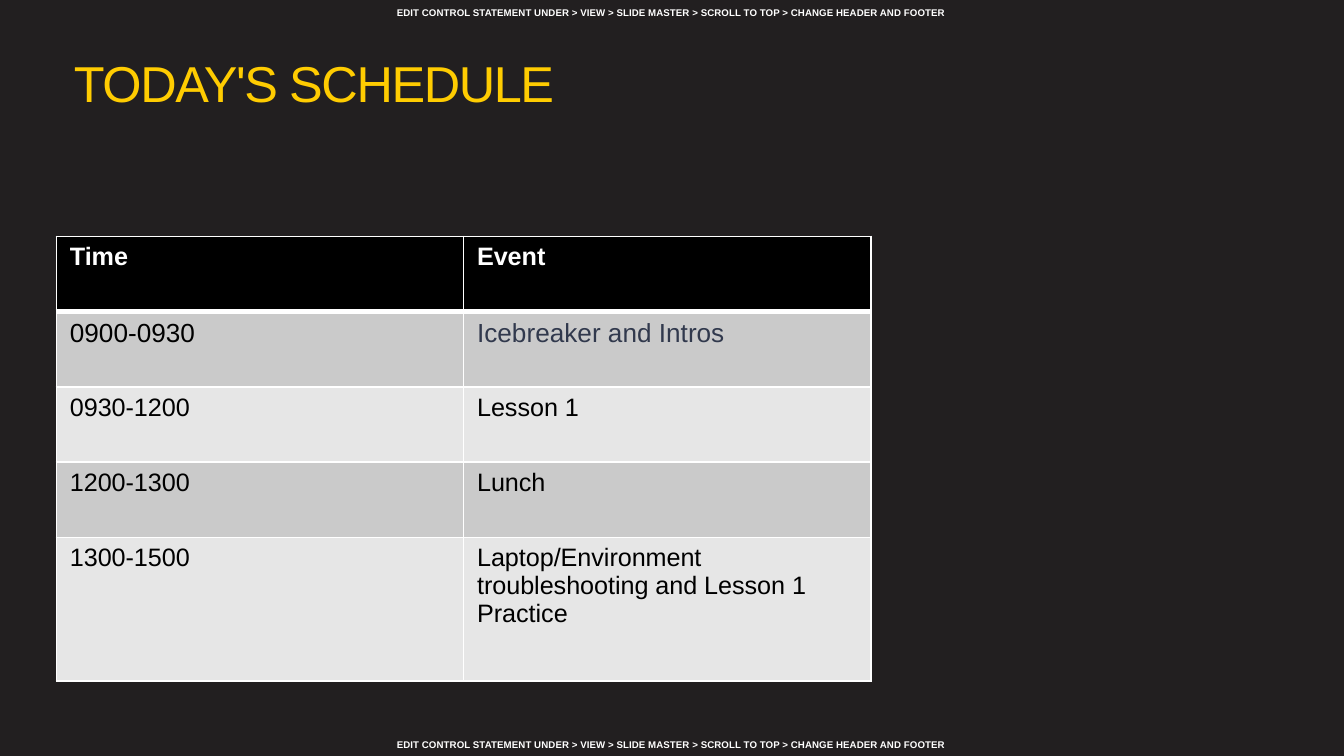
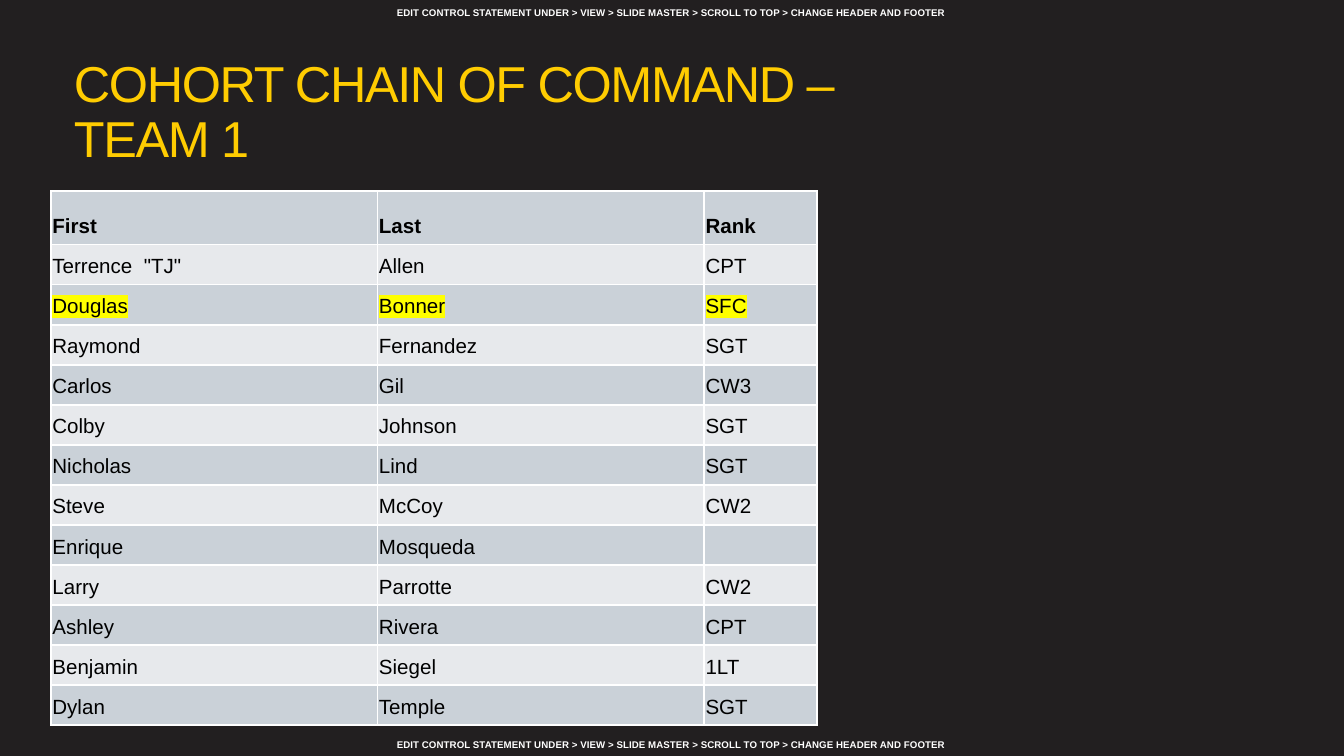
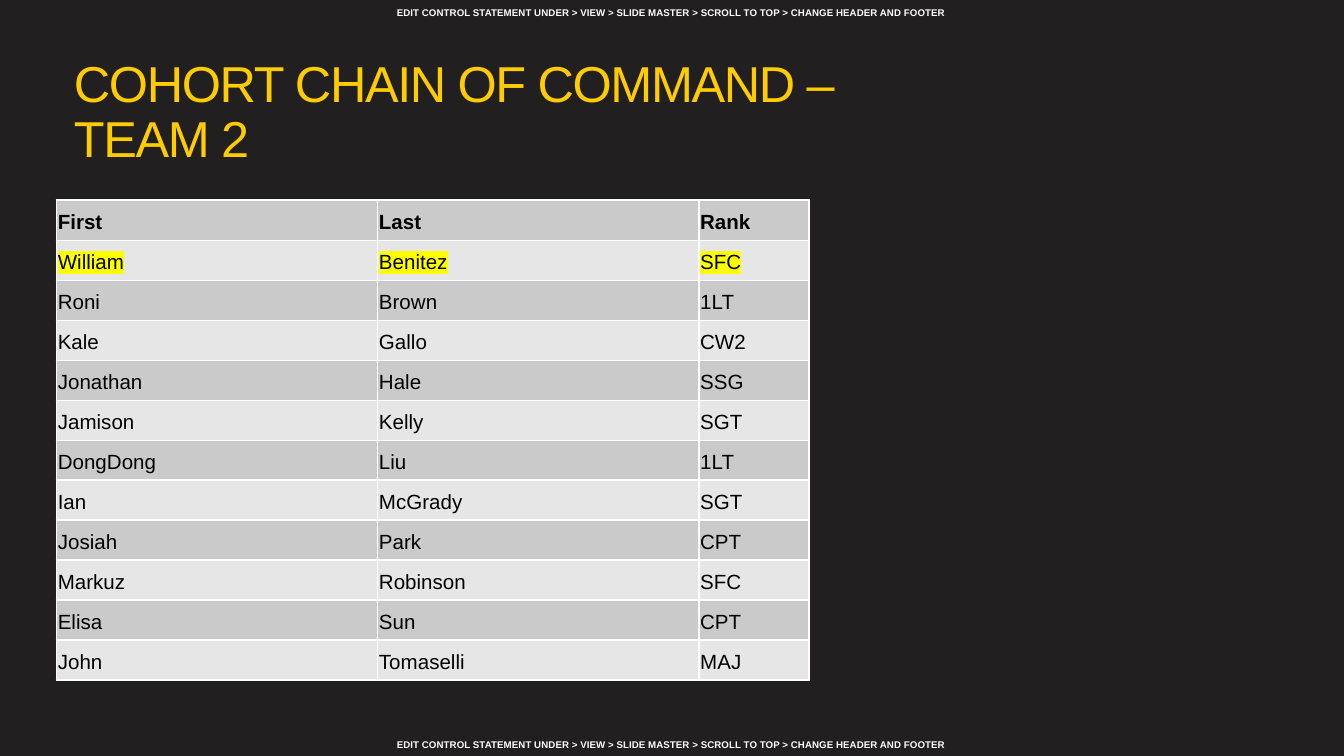
from dataclasses import dataclass

from lxml import etree
from pptx import Presentation
from pptx.dml.color import RGBColor
from pptx.enum.text import MSO_ANCHOR, MSO_AUTO_SIZE, PP_ALIGN
from pptx.oxml.ns import qn
from pptx.util import Inches, Pt

TOP, BOTTOM = MSO_ANCHOR.TOP, MSO_ANCHOR.BOTTOM
FIXED, GROW = MSO_AUTO_SIZE.NONE, MSO_AUTO_SIZE.SHAPE_TO_FIT_TEXT
LEFT, CENTER = PP_ALIGN.LEFT, PP_ALIGN.CENTER
TITLE_ONLY = 5


@dataclass(frozen=True)
class Theme:
    font: str = "Arial"
    back: str = "221F20"
    gold: str = "FFCC01"
    white: str = "FFFFFF"
    black: str = "000000"
    slate: str = "31394D"
    mark: str = "FFFF00"
    grays: tuple = ("CACACA", "E6E6E6")
    blues: tuple = ("CAD1D8", "E7E9EC")
    title: float = 27
    banner: float = 5.25
    event: float = 13.5
    intro: float = 14
    roster: float = 11


THEME = Theme()
BANNER = ("EDIT CONTROL STATEMENT UNDER > VIEW > SLIDE MASTER > "
          "SCROLL TO TOP > CHANGE HEADER AND FOOTER")
EVENTS = [
    ("Time", "Event"),
    ("0900-0930", "Icebreaker and Intros"),
    ("0930-1200", "Lesson 1"),
    ("1200-1300", "Lunch"),
    ("1300-1500", "Laptop/Environment troubleshooting and Lesson 1 Practice"),
]
HEADS = ("First", "Last", "Rank")
TEAM_1 = [
    HEADS,
    ("Terrence  \"TJ\"", "Allen", "CPT"),
    ("Douglas", "Bonner", "SFC"),
    ("Raymond", "Fernandez", "SGT"),
    ("Carlos", "Gil", "CW3"),
    ("Colby", "Johnson", "SGT"),
    ("Nicholas", "Lind", "SGT"),
    ("Steve", "McCoy", "CW2"),
    ("Enrique", "Mosqueda", ""),
    ("Larry", "Parrotte", "CW2"),
    ("Ashley", "Rivera", "CPT"),
    ("Benjamin", "Siegel", "1LT"),
    ("Dylan", "Temple", "SGT"),
]
TEAM_2 = [
    HEADS,
    ("William", "Benitez", "SFC"),
    ("Roni", "Brown", "1LT"),
    ("Kale", "Gallo", "CW2"),
    ("Jonathan", "Hale", "SSG"),
    ("Jamison", "Kelly", "SGT"),
    ("DongDong", "Liu", "1LT"),
    ("Ian", "McGrady", "SGT"),
    ("Josiah", "Park", "CPT"),
    ("Markuz", "Robinson", "SFC"),
    ("Elisa", "Sun", "CPT"),
    ("John", "Tomaselli", "MAJ"),
]


# Text
def add_run(para, text, size, color, bold=False, mark=None):
    run = para.add_run()
    run.text = text
    font = run.font
    font.name, font.size, font.bold = THEME.font, Pt(size), bold
    font.color.rgb = RGBColor.from_string(color)
    if mark:
        light = etree.Element(qn("a:highlight"))
        etree.SubElement(light, qn("a:srgbClr"), val=mark)
        font._element.find(qn("a:solidFill")).addnext(light)
    return run


def set_pad(part, left, top, right, low):
    part.margin_left, part.margin_top = Inches(left), Inches(top)
    part.margin_right, part.margin_bottom = Inches(right), Inches(low)


# Shared parts of each slide
def add_banner(slide, top, anchor, side):
    box = slide.shapes.add_textbox(
        Inches(1.14), Inches(top), Inches(7.72), Inches(0.19))
    frame = box.text_frame
    frame.word_wrap, frame.auto_size = True, GROW
    frame.vertical_anchor = anchor
    set_pad(frame, side, 0.05, side, 0.05)
    para = frame.paragraphs[0]
    para.alignment = CENTER
    add_run(para, BANNER, THEME.banner, THEME.white, bold=True)


def set_title(slide, text, split):
    shape = slide.shapes.title
    shape.left, shape.top = Inches(0.45), Inches(0.34)
    shape.width, shape.height = Inches(6.75), Inches(0.98)
    frame = shape.text_frame
    frame.word_wrap, frame.auto_size = True, FIXED
    frame.vertical_anchor = TOP
    set_pad(frame, 0.1, 0.1, 0.1, 0.1)
    para = frame.paragraphs[0]
    para.alignment, para.line_spacing = LEFT, 0.9
    run = add_run(para, text, THEME.title, THEME.gold)
    run.font._element.set("spc", "-75")
    if split:
        para.add_line_break()


def add_slide(deck, title, split=False):
    slide = deck.slides.add_slide(deck.slide_layouts[TITLE_ONLY])
    add_banner(slide, 5.44, BOTTOM, 0)
    add_banner(slide, 0, TOP, 0.1)
    set_title(slide, title, split)
    return slide


# Tables
def set_edges(cell, top=1, low=1):
    props = cell._tc.get_or_add_tcPr()
    for side, width in zip("LRTB", (1, 1, top, low)):
        line = etree.SubElement(props, qn(f"a:ln{side}"), w=str(Pt(width)))
        fill = etree.SubElement(line, qn("a:solidFill"))
        etree.SubElement(fill, qn("a:srgbClr"), val=THEME.white)


def fill_cell(cell, text, fill, size, color, bold=False, mark=None):
    cell.fill.solid()
    cell.fill.fore_color.rgb = RGBColor.from_string(fill)
    para = cell.text_frame.paragraphs[0]
    if text:
        add_run(para, text, size, color, bold, mark)
    else:
        etree.SubElement(para._p, qn("a:endParaRPr"), sz=str(Pt(size).centipoints))


def add_grid(slide, left, top, cols, rows):
    frame = slide.shapes.add_table(
        len(rows), len(cols), Inches(left), Inches(top),
        Inches(sum(cols)), Inches(sum(rows)))
    table = frame.table
    table.horz_banding = False
    for col, width in zip(table.columns, cols):
        col.width = Inches(width)
    for row, height in zip(table.rows, rows):
        row.height = Inches(height)
    return table


def add_events(slide):
    table = add_grid(slide, 0.42, 1.76, [3.03] * 2, [0.56] * 4 + [1.07])
    for r, row in enumerate(EVENTS):
        head = r == 0
        fill = THEME.black if head else THEME.grays[(r - 1) % 2]
        size = THEME.intro if r == 1 else THEME.event
        for c, text in enumerate(row):
            color = THEME.white if head else THEME.black
            if (r, c) == (1, 1):
                color = THEME.slate
            cell = table.cell(r, c)
            set_pad(cell, 0.1, 0.05, 0.1, 0.05)
            set_edges(cell, top=3 if r == 1 else 1, low=3 if head else 1)
            fill_cell(cell, text, fill, size, color, bold=head)


def add_roster(slide, team, left, top, cols, height, head, lead, bands):
    step = (height - head) / (len(team) - 1)
    table = add_grid(slide, left, top, cols, [head] + [step] * (len(team) - 1))
    for r, row in enumerate(team):
        mark = THEME.mark if row[0] == lead else None
        for c, text in enumerate(row):
            cell = table.cell(r, c)
            cell.vertical_anchor = BOTTOM
            set_pad(cell, 0.01, 0.01, 0.01, 0.05)
            set_edges(cell)
            fill_cell(cell, text, bands[r % 2], THEME.roster, THEME.black,
                      bold=r == 0, mark=mark)


def main():
    deck = Presentation()
    deck.slide_width = Inches(10)
    deck.slide_height = deck.slide_width * 9 // 16
    back = deck.slide_master.background.fill
    back.solid()
    back.fore_color.rgb = RGBColor.from_string(THEME.back)

    # Schedule
    add_events(add_slide(deck, "TODAY'S SCHEDULE", split=True))

    # Teams
    slide = add_slide(deck, "COHORT CHAIN OF COMMAND – TEAM 1")
    add_roster(slide, TEAM_1, 0.38, 1.42, (2.43, 2.43, 0.84), 3.98, 0.4,
               "Douglas", THEME.blues)
    slide = add_slide(deck, "COHORT CHAIN OF COMMAND – TEAM 2")
    add_roster(slide, TEAM_2, 0.42, 1.49, (2.39, 2.39, 0.82), 3.57, 0.3,
               "William", THEME.grays)
    deck.save("out.pptx")


if __name__ == "__main__":
    main()
